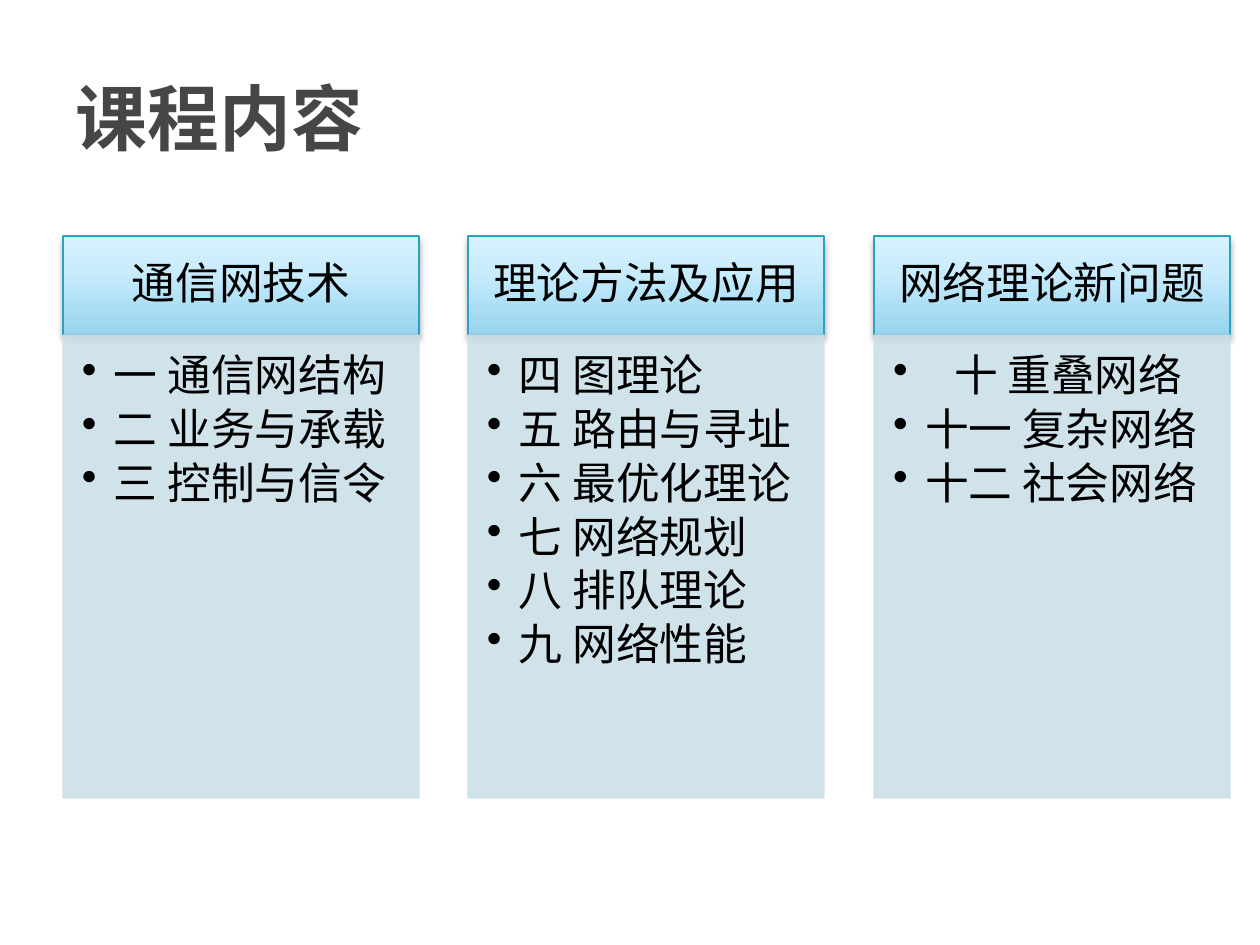
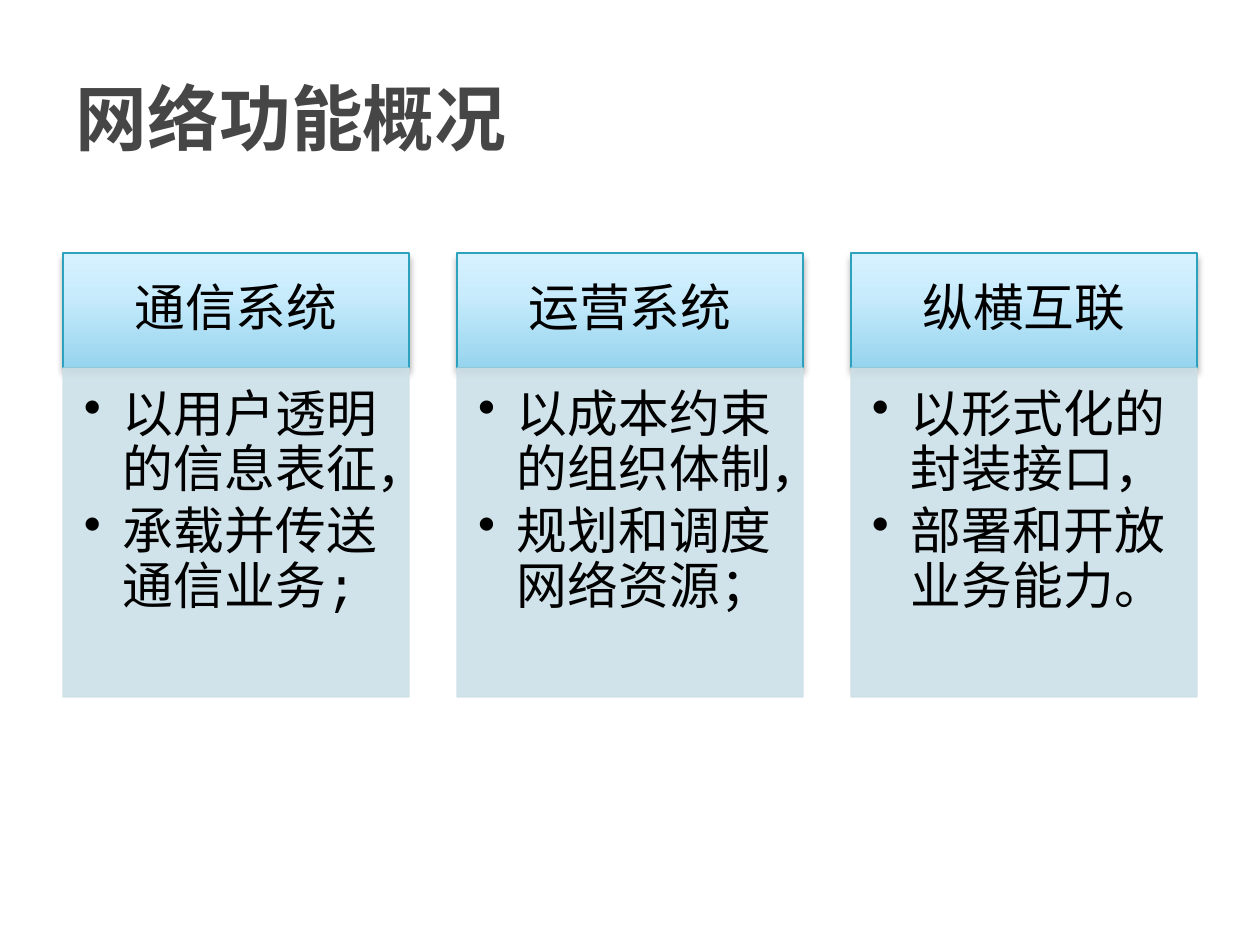
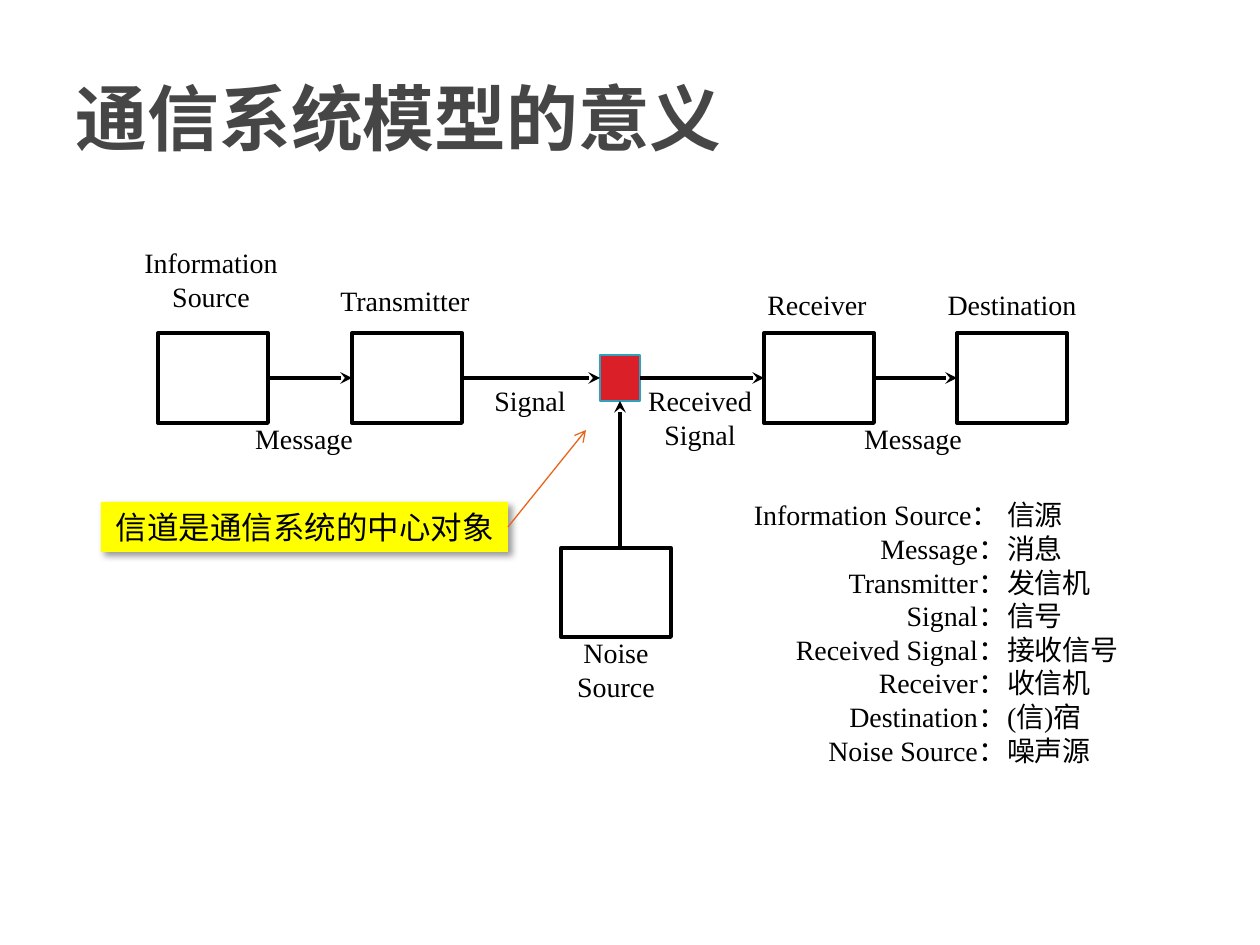
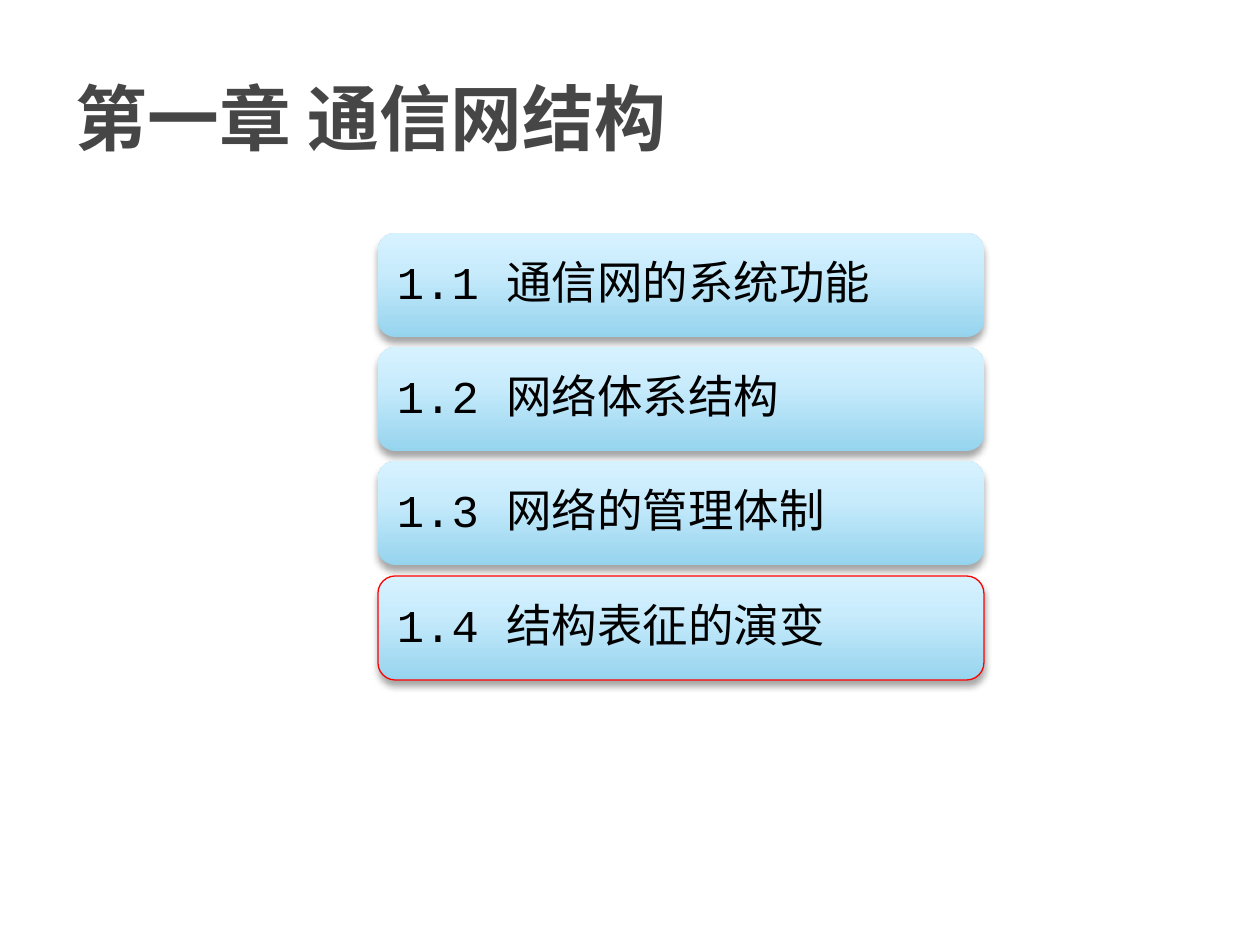
from copy import deepcopy
from lxml.etree import SubElement
from pptx import Presentation
from pptx.dml.color import RGBColor as RGB
from pptx.enum.lang import MSO_LANGUAGE_ID as LANG
from pptx.enum.shapes import MSO_CONNECTOR as LINK, MSO_SHAPE as KIND
from pptx.enum.text import MSO_ANCHOR as ANCHOR, MSO_AUTO_SIZE as AUTO, PP_ALIGN as ALIGN
from pptx.oxml.ns import qn
from pptx.util import Pt

PX = 914400 / 126
BLACK = RGB(0, 0, 0)
WHITE = RGB(255, 255, 255)
GREY = RGB(0x46, 0x46, 0x46)
TEAL = RGB(0x2D, 0xA2, 0xBF)
PALE = RGB(0xCD, 0xE0, 0xE8)
RED = RGB(0xDA, 0x1F, 0x28)
PURE = RGB(255, 0, 0)
GOLD = RGB(255, 255, 0)
RUST = RGB(0xEB, 0x64, 0x1B)
SKY = [(0, RGB(0x96, 0xD4, 0xEE)), (0.65, RGB(0xC9, 0xEC, 0xFC)), (1, RGB(0xD7, 0xF2, 0xFF))]
MONO = "Courier New"
SERIF = "Times New Roman"
SIDES = ["margin_left", "margin_top", "margin_right", "margin_bottom"]


def box(slide, kind, rect, fill, edge=None, width=0.75, shade=None):
    shape = slide.shapes.add_shape(kind, *[int(v * PX) for v in rect])
    props = shape.element.spPr
    if fill is SKY:
        shape.fill.gradient()
        shape.fill.gradient_angle = 90
        stops = props.find(".//" + qn("a:gsLst"))
        stops.append(deepcopy(stops[0]))
        for stop, (place, tint) in zip(shape.fill.gradient_stops, SKY):
            stop.position = place
            stop.color.rgb = tint
    else:
        shape.fill.solid()
        shape.fill.fore_color.rgb = fill
    if edge is None:
        shape.line.fill.background()
    else:
        shape.line.color.rgb = edge
        shape.line.width = Pt(width)
    shape.shadow.inherit = False
    if shade:
        angle, alpha = shade
        glow = SubElement(props.find(qn("a:effectLst")), qn("a:outerShdw"), blurRad=str(Pt(4)),
                          dist=str(Pt(3)), dir=str(angle * 60000), rotWithShape="0")
        tint = SubElement(glow, qn("a:srgbClr"), val="000000")
        SubElement(tint, qn("a:alpha"), val=str(alpha * 1000))
    return shape


def write(shape, lines, size, face=MONO, edges=(0, 0, 0, 0), anchor=ANCHOR.MIDDLE,
          wrap=True, ink=BLACK, bold=False, **para):
    frame = shape.text_frame
    frame.text = "\n".join(lines)
    look = {"word_wrap": wrap, "vertical_anchor": anchor}
    look.update((side, int(v * PX)) for side, v in zip(SIDES, edges))
    for name, value in look.items():
        setattr(frame, name, value)
    style = {"name": face, "size": Pt(size), "bold": bold, "language_id": LANG.SIMPLIFIED_CHINESE}
    for par in frame.paragraphs:
        for name, value in para.items():
            setattr(par, name, value)
        for run in par.runs:
            for name, value in style.items():
                setattr(run.font, name, value)
            run.font.color.rgb = ink


deck = Presentation()
deck.slide_width = int(1260 * PX)
deck.slide_height = int(945 * PX)
pages = []
for name in ["课程内容", "网络功能概况", "通信系统模型的意义", "第一章 通信网结构"]:
    page = deck.slides.add_slide(deck.slide_layouts[5])
    title = page.shapes.title
    title.left, title.top, title.width, title.height = [int(v * PX) for v in (63, 38, 1134, 157)]
    write(title, [name], 41, edges=(13, 6, 13, 6), ink=GREY, bold=True, alignment=ALIGN.LEFT)
    pages.append(page)

lists = [
    (pages[0], 25, 811, 356, 236, 99, 463, (24, 14, 24, 14), (19, 19, 24, 28), 32, [
        ("通信网技术", ["一 通信网结构", "二 业务与承载", "三 控制与信令"]),
        ("理论方法及应用", ["四 图理论", "五 路由与寻址", "六 最优化理论",
                     "七 网络规划", "八 排队理论", "九 网络性能"]),
        ("网络理论新问题", ["十 重叠网络", "十一 复杂网络", "十二 社会网络"])]),
    (pages[1], 29, 788, 346, 253, 115, 329, (29, 16, 29, 16), (21, 21, 29, 32), 39, [
        ("通信系统", ["以用户透明的信息表征，", "承载并传送通信业务;"]),
        ("运营系统", ["以成本约束的组织体制，", "规划和调度网络资源；"]),
        ("纵横互联", ["以形式化的封装接口，", "部署和开放业务能力。"])]),
]
for page, size, pitch, wide, top, high, deep, rim, pad, hang, cols in lists:
    for n, (name, items) in enumerate(cols):
        left = 63 + n * pitch // 2
        head = box(page, KIND.RECTANGLE, (left, top, wide, high), SKY, TEAL, shade=(90, 35))
        write(head, [name], size, edges=rim, alignment=ALIGN.CENTER, line_spacing=0.9)
        body = box(page, KIND.RECTANGLE, (left, top + high, wide, deep), PALE, PALE)
        for tint in body.element.spPr.iter(qn("a:srgbClr")):
            SubElement(tint, qn("a:alpha"), val="90000")
        write(body, items, size, edges=pad, anchor=ANCHOR.TOP, alignment=ALIGN.LEFT,
              level=1, line_spacing=0.9, space_after=Pt(size * 0.15))
        for par in body.text_frame.paragraphs:
            inset = int((hang + 29 * par.text.startswith("十 ")) * PX)
            props = par._p.get_or_add_pPr()
            props.set("marL", str(inset))
            props.set("indent", str(-inset))
            SubElement(props, qn("a:buChar"), char="•")

page = pages[2]
terms = [("Information Source： ", "信源"), ("Message：", "消息"), ("Transmitter：", "发信机"),
         ("Signal：", "信号"), ("Received Signal：", "接收信号"), ("Receiver：", "收信机"),
         ("Destination：", "(信)宿"), ("Noise Source：", "噪声源")]
words, means = zip(*terms)
labels = [
    ((131, 246, 160, 87), ["Information", "Source"], ALIGN.CENTER),
    ((325, 284, 160, 47), ["Transmitter"], ALIGN.CENTER),
    ((536, 636, 160, 87), ["Noise", "Source"], ALIGN.CENTER),
    ((737, 287, 160, 47), ["Receiver"], ALIGN.CENTER),
    ((932, 287, 160, 47), ["Destination"], ALIGN.CENTER),
    ((224, 422, 160, 47), ["Message"], ALIGN.CENTER),
    ((475, 384, 110, 47), ["Signal"], ALIGN.CENTER),
    ((645, 384, 110, 84), ["Received", "Signal"], ALIGN.CENTER),
    ((833, 422, 160, 47), ["Message"], ALIGN.CENTER),
    ((728, 498, 278, 280), words, ALIGN.RIGHT),
    ((1007, 498, 155, 280), means, ALIGN.LEFT),
]
for rect, lines, side in labels:
    label = box(page, KIND.RECTANGLE, rect, WHITE)
    write(label, lines, 16, SERIF, anchor=ANCHOR.TOP, alignment=side)

source, sender, taker, target = [
    box(page, KIND.RECTANGLE, (left, 333, 110, 90), WHITE, BLACK, 2.25)
    for left in (158, 352, 764, 957)]
canal = box(page, KIND.RECTANGLE, (600, 355, 40, 46), RED, TEAL)
box(page, KIND.RECTANGLE, (561, 548, 110, 89), WHITE, BLACK, 2.25)
note = box(page, KIND.RECTANGLE, (101, 502, 407, 50), GOLD, shade=(45, 40))
write(note, ["信道是通信系统的中心对象"], 18, "Arial", (13, 6, 13, 6), ANCHOR.TOP, False,
      alignment=ALIGN.CENTER)
note.text_frame.auto_size = AUTO.SHAPE_TO_FIT_TEXT

links = [
    ((268, 378, 352, 378), (source, 3), (sender, 1), BLACK, 2.25, "stealth"),
    ((462, 378, 600, 378), (sender, 3), (canal, 1), BLACK, 2.25, "stealth"),
    ((640, 378, 764, 378), (canal, 3), (taker, 1), BLACK, 2.25, "stealth"),
    ((874, 378, 957, 378), (taker, 3), (target, 1), BLACK, 2.25, "stealth"),
    ((620, 547, 620, 401), None, (canal, 2), BLACK, 2.25, "stealth"),
    ((508, 527, 586, 430), (note, 3), None, RUST, 0.75, "arrow"),
]
for ends, start, stop, ink, width, tip in links:
    link = page.shapes.add_connector(LINK.STRAIGHT, *[int(v * PX) for v in ends])
    if start:
        link.begin_connect(*start)
    if stop:
        link.end_connect(*stop)
    link.line.color.rgb = ink
    link.line.width = Pt(width)
    props = link.element.spPr
    SubElement(props.find(qn("a:ln")), qn("a:tailEnd"), type=tip)
    SubElement(props, qn("a:effectLst"))

parts = ["1.1 通信网的系统功能", "1.2 网络体系结构", "1.3 网络的管理体制", "1.4 结构表征的演变"]
for n, name in enumerate(parts):
    edge = PURE if n == len(parts) - 1 else None
    bar = box(pages[3], KIND.ROUNDED_RECTANGLE, (378, 233 + n * 343 // 3, 606, 104),
              SKY, edge, shade=(90, 35))
    write(bar, [name], 26, edges=(14, 14, 14, 14), alignment=ALIGN.LEFT, line_spacing=0.9)

deck.save("out.pptx")
